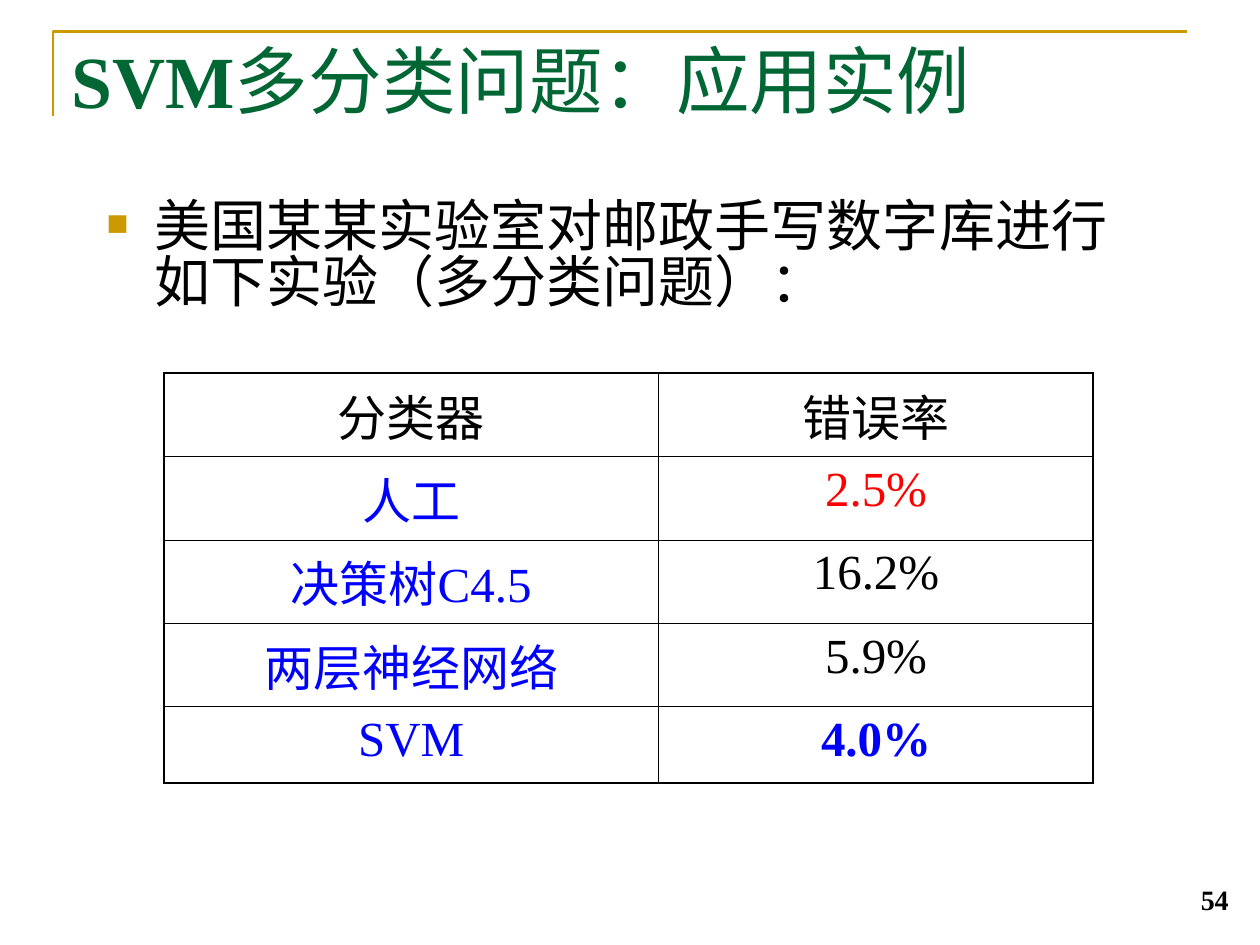
from lxml import etree
from pptx import Presentation
from pptx.dml.color import RGBColor
from pptx.enum.text import MSO_ANCHOR, MSO_AUTO_SIZE, PP_ALIGN
from pptx.oxml.ns import qn
from pptx.util import Cm, Pt

FONT = "Times New Roman"
BLACK = RGBColor(0x00, 0x00, 0x00)
BLUE = RGBColor(0x00, 0x00, 0xFF)
RED = RGBColor(0xFF, 0x00, 0x00)
GREEN = RGBColor(0x00, 0x66, 0x33)
GOLD = RGBColor(0xCC, 0x99, 0x00)
TOP, BOTTOM = MSO_ANCHOR.TOP, MSO_ANCHOR.BOTTOM
CENTER, LEFT, RIGHT = PP_ALIGN.CENTER, PP_ALIGN.LEFT, PP_ALIGN.RIGHT
NO_AUTOFIT = MSO_AUTO_SIZE.NONE
THIN, THICK = Pt(0.45), Pt(1.08)

ROWS = [
    [("分类器", BLACK, False), ("错误率", BLACK, False)],
    [("人工", BLUE, False), ("2.5%", RED, False)],
    [("决策树C4.5", BLUE, False), ("16.2%", BLACK, False)],
    [("两层神经网络", BLUE, False), ("5.9%", BLACK, False)],
    [("SVM", BLUE, False), ("4.0%", BLUE, True)],
]


def add_run(p, text, size, color, bold=False):
    r = p.add_run()
    r.text = text
    r.font.name = FONT
    r.font.size = Pt(size)
    r.font.bold = bold
    r.font.color.rgb = color


def format_frame(tf, anchor, align):
    tf.word_wrap = True
    tf.auto_size = NO_AUTOFIT
    tf.vertical_anchor = anchor
    p = tf.paragraphs[0]
    p.alignment = align
    return p


def add_text(slide, left, top, width, height, anchor, align):
    box = slide.shapes.add_textbox(Cm(left), Cm(top), Cm(width), Cm(height))
    return format_frame(box.text_frame, anchor, align)


def add_bullet(p, char, color, percent, indent):
    pPr = p._p.get_or_add_pPr()
    pPr.set("marL", str(indent))
    pPr.set("indent", str(-indent))
    bu_color = etree.SubElement(pPr, qn("a:buClr"))
    etree.SubElement(bu_color, qn("a:srgbClr"), val=str(color))
    etree.SubElement(pPr, qn("a:buSzPct"), val=str(percent * 1000))
    etree.SubElement(pPr, qn("a:buFont"), typeface=FONT)
    etree.SubElement(pPr, qn("a:buChar"), char=char)


def add_corner(slide):
    builder = slide.shapes.build_freeform(Cm(1.07), Cm(2.33))
    builder.add_line_segments([(Cm(1.07), Cm(0.64)), (Cm(23.93), Cm(0.64))], close=False)
    s = builder.convert_to_shape()
    s.shadow.inherit = False
    s.fill.background()
    s.line.color.rgb = GOLD
    s.line.width = Pt(1.5)


def set_borders(cell, widths):
    tcPr = cell._tc.get_or_add_tcPr()
    for i, (side, width) in enumerate(zip("LRTB", widths)):
        ln = etree.Element(qn(f"a:ln{side}"), w=str(width))
        fill = etree.SubElement(ln, qn("a:solidFill"))
        etree.SubElement(fill, qn("a:srgbClr"), val=str(BLACK))
        tcPr.insert(i, ln)


def add_results(slide):
    n_rows, n_cols = len(ROWS), len(ROWS[0])
    frame = slide.shapes.add_table(n_rows, n_cols, Cm(3.3), Cm(7.52), Cm(18.74), Cm(7.7))
    table = frame.table
    table.first_row = table.horz_banding = False
    for column, width in zip(table.columns, (9.98, 8.76)):
        column.width = Cm(width)
    for i, row in enumerate(ROWS):
        for j, (text, color, bold) in enumerate(row):
            cell = table.cell(i, j)
            cell.fill.background()
            edges = (j == 0, j == n_cols - 1, i == 0, i == n_rows - 1)
            set_borders(cell, [THICK if edge else THIN for edge in edges])
            p = cell.text_frame.paragraphs[0]
            p.alignment = CENTER
            add_run(p, text, 28, color, bold)


def set_title(slide):
    s = slide.shapes.title
    s.left, s.top, s.width, s.height = Cm(1.19), Cm(0.79), Cm(22.86), Cm(2.57)
    p = format_frame(s.text_frame, TOP, LEFT)
    p.line_spacing = 0.9
    add_run(p, "SVM", 42, GREEN, True)
    add_run(p, "多分类问题：应用实例", 42, GREEN)


def main():
    prs = Presentation()
    prs.slide_width, prs.slide_height = Cm(25.4), Cm(19.05)
    slide = prs.slides.add_slide(prs.slide_layouts[5])
    add_corner(slide)
    set_title(slide)

    p = add_text(slide, 19.1, 17.32, 5.92, 1.27, BOTTOM, RIGHT)
    add_run(p, "54", 16, BLACK, True)

    p = add_text(slide, 1.9, 3.94, 21.77, 3.4, TOP, LEFT)
    p.line_spacing = 0.83
    add_bullet(p, "■", GOLD, 65, Cm(0.97))
    add_run(p, "美国某某实验室对邮政手写数字库进行如下实验（多分类问题）：", 32, BLACK)

    add_results(slide)
    prs.save("out.pptx")


if __name__ == "__main__":
    main()
